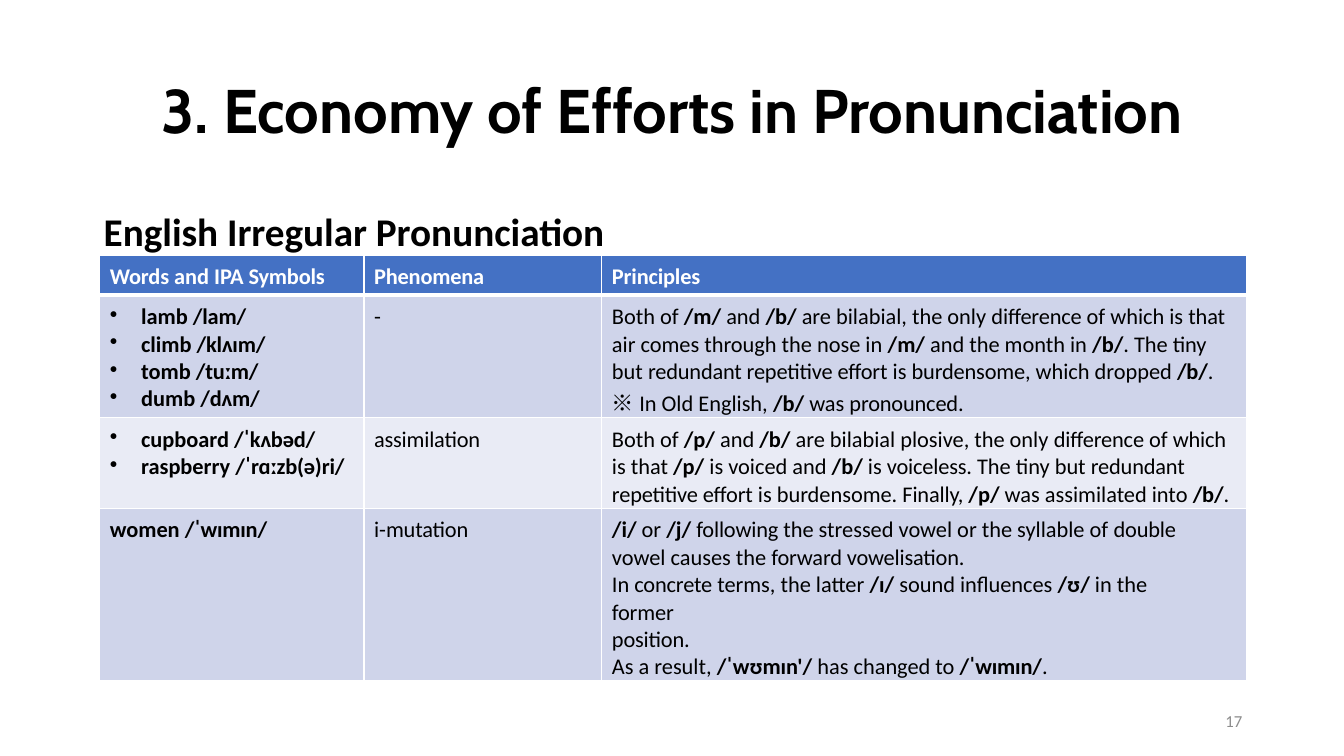
"""Build the slide on economy of efforts in English pronunciation."""
from lxml import etree
from pptx import Presentation
from pptx.dml.color import RGBColor
from pptx.enum import text
from pptx.oxml import ns
from pptx.util import Inches, Pt

BLACK = RGBColor(0x00, 0x00, 0x00)
WHITE = RGBColor(0xFF, 0xFF, 0xFF)
GREY = RGBColor(0x8C, 0x8C, 0x8C)
HEADER_BLUE = RGBColor(0x44, 0x71, 0xC4)
BAND_DARK = RGBColor(0xCF, 0xD4, 0xEA)
BAND_LIGHT = RGBColor(0xE9, 0xEB, 0xF5)

BODY_FONT = "Calibri"
SYMBOL_FONT = "Noto Sans CJK JP"
FRAME = {"word_wrap": True, "auto_size": text.MSO_AUTO_SIZE.NONE}
CELL = {
    "margin_left": Inches(0.1),
    "margin_right": Inches(0.1),
    "margin_top": Inches(0.08),
    "margin_bottom": 0,
    "vertical_anchor": text.MSO_ANCHOR.TOP,
}
COLUMN_WIDTHS = (2.62, 2.36, 6.39)
ROW_HEIGHTS = (0.4, 1.17, 0.9, 1.43)
ROW_FILLS = (HEADER_BLUE, BAND_DARK, BAND_LIGHT, BAND_DARK)

# Runs are parted by "|"; "*" makes a run bold, "~" tightens it, "^" sets the symbol font.
# Each cell is a list of paragraphs; a leading "•" makes a bullet.
ROWS = (
    (["*~Words |*and |*~IPA Symbols"], ["*~Phenomena"], ["*~Principles"]),
    (
        ["•*lamb |*~/lam/", "•*climb |*~/klʌɪm/", "•*tomb |*~/tuːm/", "•*dumb |*~/dʌm/"],
        ["-"],
        [
            "Both of |*/m/ |and |*/b/ |are bilabial, the only |~difference |of which is |~that |"
            "air comes through the nose in |*/m/ |and the month in |*/b/|. The |~tiny |but |"
            "~redundant repetitive effort |is |~burdensome, |which dropped |*~/b/|~.",
            "^※ |In Old English, |*/b/ |was |~pronounced.",
        ],
    ),
    (
        ["•*cupboard |*~/ˈkʌbəd/", "•*raspberry |*~/ˈrɑːzb(ə)ri/"],
        ["~assimilation"],
        [
            "Both of |*/p/ |and |*/b/ |are bilabial plosive, the only |~difference |of |~which |"
            "is that |*/p/ |is voiced and |*/b/ |is |~voiceless. |The tiny but |"
            "~redundant repetitive effort |is burdensome.|~ Finally, |*/p/ |"
            "was assimilated into |*~/b/|~."
        ],
    ),
    (
        ["*women |*~/ˈwɪmɪn/"],
        ["i-|~mutation"],
        [
            "*/i/ |or |*/j/ |~following |the stressed vowel or the syllable of |~double |"
            "vowel causes the |~forward vowelisation.",
            "In |~concrete |terms, the latter |*/ɪ/ |sound influences |*/ʊ/ |in the |~former",
            "~position.",
            "As a result, |*/ˈwʊmɪn'/ |has changed to |*~/ˈwɪmɪn/|~.",
        ],
    ),
)


def apply_format(target, values):
    """Set each named attribute on the target."""
    for name, value in values.items():
        setattr(target, name, value)


def add_run(paragraph, words, color, size, bold=False, name=BODY_FONT):
    """Add one formatted run and return it."""
    run = paragraph.add_run()
    run.text = words
    apply_format(run.font, {"name": name, "size": Pt(size), "bold": bold})
    run.font.color.rgb = color
    return run


def add_marked_runs(paragraph, marked, color):
    """Add the runs of a marked-up line of table text."""
    for piece in marked.split("|"):
        words = piece.lstrip("*~^")
        marks = piece[: len(piece) - len(words)]
        name = SYMBOL_FONT if "^" in marks else BODY_FONT
        run = add_run(paragraph, words, color, 16, "*" in marks, name)
        properties = run.font._element
        if "~" in marks:
            properties.set("spc", "-10")
        if "^" in marks:
            etree.SubElement(properties, ns.qn("a:ea"), typeface=name)


def add_bullet(paragraph):
    """Give the paragraph a round bullet and a hanging indent."""
    properties = paragraph._p.get_or_add_pPr()
    properties.set("marL", str(Inches(0.31)))
    properties.set("indent", str(-Inches(0.31)))
    etree.SubElement(properties, ns.qn("a:buChar"), char="•")


def add_borders(cell, top, bottom):
    """Draw white cell borders with the given top and bottom widths."""
    properties = cell._tc.get_or_add_tcPr()
    for side, width in (("L", 1), ("R", 1), ("T", top), ("B", bottom)):
        line = etree.SubElement(properties, ns.qn(f"a:ln{side}"), w=str(Pt(width)))
        fill = etree.SubElement(line, ns.qn("a:solidFill"))
        etree.SubElement(fill, ns.qn("a:srgbClr"), val=str(WHITE))


def fill_cell(cell, lines, color):
    """Write the paragraphs of one cell."""
    apply_format(cell, CELL)
    frame = cell.text_frame
    for index, line in enumerate(lines):
        paragraph = frame.add_paragraph() if index else frame.paragraphs[0]
        if line.startswith("•"):
            add_bullet(paragraph)
        add_marked_runs(paragraph, line.lstrip("•"), color)


def add_pronunciation_table(slide):
    """Add the table of irregular words, phenomena and principles."""
    table = slide.shapes.add_table(
        len(ROWS), len(COLUMN_WIDTHS), Inches(0.99), Inches(2.53), Inches(11.37), Inches(3.9)
    ).table
    for column, width in zip(table.columns, COLUMN_WIDTHS):
        column.width = Inches(width)
    for index, lines_by_column in enumerate(ROWS):
        table.rows[index].height = Inches(ROW_HEIGHTS[index])
        for cell, lines in zip(table.rows[index].cells, lines_by_column):
            add_borders(cell, 3 if index == 1 else 1, 3 if index == 0 else 1)
            cell.fill.solid()
            cell.fill.fore_color.rgb = ROW_FILLS[index]
            fill_cell(cell, lines, BLACK if index else WHITE)
    mutation = table.cell(3, 2).text_frame.paragraphs
    for paragraph, margin in zip(mutation, (0.15, 0.5)):
        paragraph._p.get_or_add_pPr().set("marR", str(Inches(margin)))


def set_title(slide, words):
    """Place and format the title placeholder."""
    title = slide.shapes.title
    apply_format(title, {"left": Inches(0.92), "top": Inches(0.4),
                         "width": Inches(11.5), "height": Inches(1.45)})
    apply_format(title.text_frame, {**FRAME, "vertical_anchor": text.MSO_ANCHOR.MIDDLE})
    paragraph = title.text_frame.paragraphs[0]
    apply_format(paragraph, {"alignment": text.PP_ALIGN.CENTER, "line_spacing": 0.9})
    add_run(paragraph, words, BLACK, 44, True, "Cabin")


def add_label(slide, box, words, color, size, bold, alignment, anchor):
    """Add a one-line text box."""
    frame = slide.shapes.add_textbox(*map(Inches, box)).text_frame
    apply_format(frame, {**FRAME, "vertical_anchor": anchor})
    frame.paragraphs[0].alignment = alignment
    add_run(frame.paragraphs[0], words, color, size, bold)


def main():
    """Build and save the slide."""
    presentation = Presentation()
    apply_format(presentation, {"slide_width": Inches(13.33), "slide_height": Inches(7.5)})
    slide = presentation.slides.add_slide(presentation.slide_layouts[5])
    set_title(slide, "3. Economy of Efforts in Pronunciation")
    add_label(slide, (0.93, 2.01, 11.49, 0.6), "English Irregular Pronunciation",
              BLACK, 28, True, text.PP_ALIGN.LEFT, text.MSO_ANCHOR.TOP)
    add_pronunciation_table(slide)
    add_label(slide, (9.42, 6.95, 3, 0.4), "17",
              GREY, 12, False, text.PP_ALIGN.RIGHT, text.MSO_ANCHOR.MIDDLE)
    presentation.save("out.pptx")


if __name__ == "__main__":
    main()
